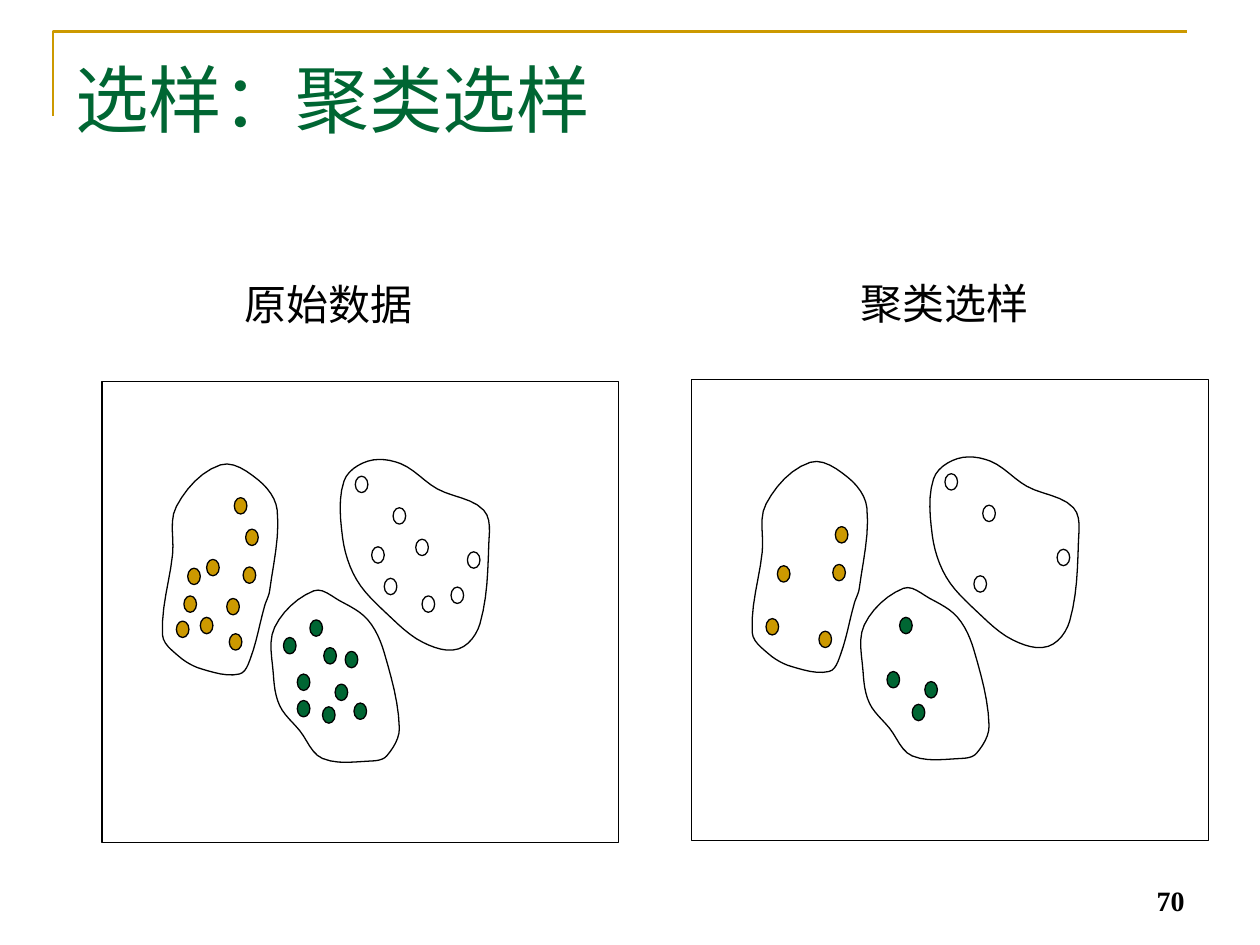
"""Builds a slide that compares original data with a cluster sample."""
import math

import pptx
import pptx.dml.color
import pptx.enum.shapes
import pptx.enum.text
import pptx.util

Inches = pptx.util.Inches
Pt = pptx.util.Pt
SHAPES = pptx.enum.shapes.MSO_SHAPE
ANCHOR = pptx.enum.text.MSO_ANCHOR
ALIGN = pptx.enum.text.PP_ALIGN

AMBER = pptx.dml.color.RGBColor(0xCC, 0x99, 0x00)
GREEN = pptx.dml.color.RGBColor(0x00, 0x66, 0x33)
WHITE = pptx.dml.color.RGBColor(0xFF, 0xFF, 0xFF)
BLACK = pptx.dml.color.RGBColor(0x00, 0x00, 0x00)

FONT = "Times New Roman"
DOT_SIZE = (0.1, 0.13)
FRAME = (0.81, 3.03, 4.1, 3.66)
CURVE_STEPS = 6
CORNER = [(0.42, 0.92), (0.42, 0.25), (9.42, 0.25)]

TEXTS = [
    ("选样：聚类选样", (0.5, 0.38, 9, 0.93), {"size": Pt(42)}, GREEN, ALIGN.LEFT, ANCHOR.TOP),
    ("原始数据", (1.84, 2.16, 1.61, 0.5), {"size": Pt(24)}, BLACK, ALIGN.LEFT, ANCHOR.TOP),
    ("聚类选样", (6.73, 2.15, 1.61, 0.5), {"size": Pt(24)}, BLACK, ALIGN.LEFT, ANCHOR.TOP),
    ("70", (7.17, 6.83, 2.33, 0.5), {"size": Pt(16), "bold": True}, BLACK, ALIGN.RIGHT, ANCHOR.BOTTOM),
]

CLUSTERS = [
    {
        "color": WHITE,
        "sampled": [(3.12, 4.03), (3.05, 4.59), (3.71, 4.38), (2.82, 3.78)],
        "unsampled": [(3.3, 4.28), (2.95, 4.34), (3.58, 4.66), (3.35, 4.73)],
        "outline": [
            (3.84, 4.05), (3.88, 4.32), (3.81, 4.95), (3.64, 5.15), (3.36, 5.1), (3.07, 4.87),
            (2.83, 4.6), (2.72, 4.27), (2.73, 3.82), (2.92, 3.66), (3.18, 3.68), (3.47, 3.88),
        ],
    },
    {
        "color": GREEN,
        "sampled": [(2.56, 5.61), (2.66, 5.43), (2.36, 5.35), (2.46, 4.92)],
        "unsampled": [(2.25, 5.06), (2.74, 5.17), (2.36, 5.56), (2.57, 5.14), (2.81, 5.58)],
        "outline": [
            (2.38, 5.8), (2.22, 5.6), (2.17, 5.35), (2.18, 4.98), (2.49, 4.69), (2.7, 4.77),
            (2.92, 4.92), (3.05, 5.18), (3.17, 5.78), (3.07, 6), (2.95, 6.04), (2.56, 6.02),
        ],
    },
    {
        "color": AMBER,
        "sampled": [(1.4, 4.93), (1.49, 4.51), (1.82, 5.03), (1.93, 4.5), (1.95, 4.2)],
        "unsampled": [(1.59, 4.9), (1.46, 4.73), (1.8, 4.75), (1.64, 4.44), (1.86, 3.95)],
        "outline": [
            (2.1, 4.81), (1.99, 5.22), (1.9, 5.35), (1.6, 5.31), (1.42, 5.21), (1.29, 5.04),
            (1.37, 4.4), (1.4, 4.02), (1.75, 3.69), (2.05, 3.81), (2.2, 4.05), (2.14, 4.69),
        ],
    },
]

PANELS = [
    {"offset": (0, 0), "shown": ("sampled", "unsampled")},
    {"offset": (4.68, -0.02), "shown": ("sampled",)},
]


def direction(start, end):
    length = math.dist(start, end)
    return [(e - s) / length for s, e in zip(start, end)]


def smooth_loop(knots):
    points = []
    for i, knot in enumerate(knots):
        before = knots[i - 1]
        after, beyond = (knots[(i + ahead) % len(knots)] for ahead in (1, 2))
        reach = math.dist(knot, after) / 3
        leave, arrive = direction(before, after), direction(knot, beyond)
        for step in range(CURVE_STEPS):
            t = step / CURVE_STEPS
            s = 1 - t
            points.append(tuple(
                s ** 3 * a + 3 * s * s * t * (a + reach * u)
                + 3 * s * t * t * (b - reach * v) + t ** 3 * b
                for a, b, u, v in zip(knot, after, leave, arrive)
            ))
    return points


def style(part, fill=None, line=BLACK, width=0.75):
    part.shadow.inherit = False
    if fill is None:
        part.fill.background()
    else:
        part.fill.solid()
        part.fill.fore_color.rgb = fill
    part.line.color.rgb = line
    part.line.width = Pt(width)


def draw_path(shapes, points, close, **look):
    start, *rest = [(Inches(x), Inches(y)) for x, y in points]
    builder = shapes.build_freeform(*start)
    builder.add_line_segments(rest, close=close)
    style(builder.convert_to_shape(), **look)


def draw_preset(shapes, preset, box, fill=None):
    style(shapes.add_shape(preset, *map(Inches, box)), fill)


def draw_panel(shapes, offset, shown):
    dx, dy = offset
    left, top, width, height = FRAME
    draw_preset(shapes, SHAPES.RECTANGLE, (left + dx, top + dy, width, height))
    for cluster in CLUSTERS:
        for kind in shown:
            for x, y in cluster[kind]:
                draw_preset(shapes, SHAPES.FLOWCHART_CONNECTOR,
                            (x + dx, y + dy, *DOT_SIZE), cluster["color"])
        outline = [(x + dx, y + dy) for x, y in smooth_loop(cluster["outline"])]
        draw_path(shapes, outline, close=True)


def write_text(shapes, words, box, font_format, color, align, anchor):
    frame = shapes.add_textbox(*map(Inches, box)).text_frame
    for key, value in {"word_wrap": True, "vertical_anchor": anchor}.items():
        setattr(frame, key, value)
    paragraph = frame.paragraphs[0]
    paragraph.alignment = align
    run = paragraph.add_run()
    run.text = words
    for key, value in {"name": FONT, **font_format}.items():
        setattr(run.font, key, value)
    run.font.color.rgb = color


def main():
    deck = pptx.Presentation()
    deck.slide_width, deck.slide_height = Inches(10), Inches(7.5)
    shapes = deck.slides.add_slide(deck.slide_layouts[6]).shapes
    draw_path(shapes, CORNER, close=False, line=AMBER, width=1.5)
    for panel in PANELS:
        draw_panel(shapes.add_group_shape().shapes, **panel)
    for text in TEXTS:
        write_text(shapes, *text)
    deck.save("out.pptx")


if __name__ == "__main__":
    main()
